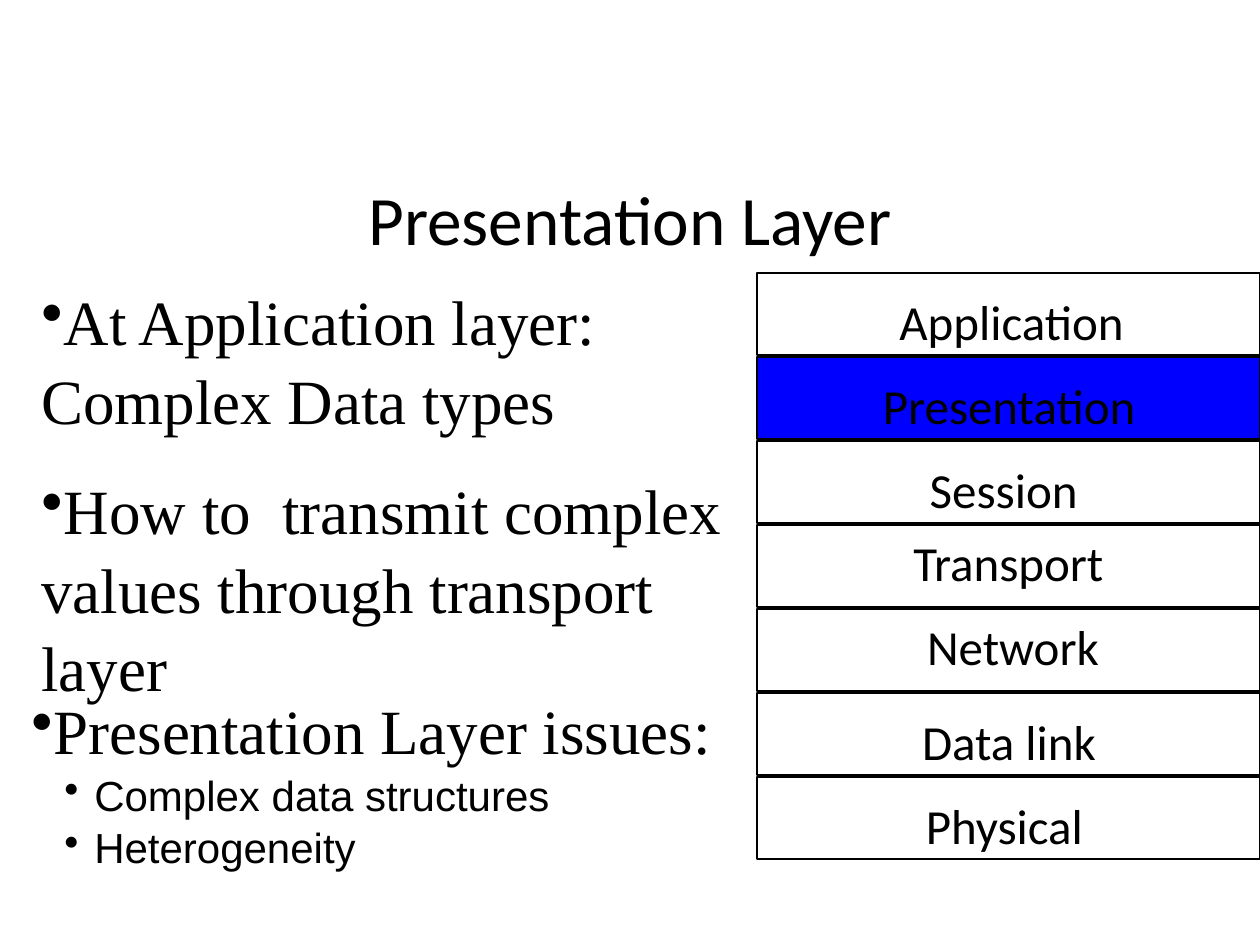
from pptx import Presentation
from pptx import util as u
from pptx.dml.color import RGBColor
from pptx.enum import shapes, text
from pptx.oxml.xmlchemy import OxmlElement

BLACK = RGBColor(0, 0, 0)
BLUE = RGBColor(0, 0, 255)
Pt = u.Pt


def add_run(p, content, size, font, color=BLACK):
    r = p.add_run()
    r.text = content
    r.font.size = Pt(size)
    r.font.name = font
    r.font.color.rgb = color
    return r


def set_bullet(p, margin=0, indent=0):
    pPr = p._p.get_or_add_pPr()
    pPr.set("marL", str(Pt(margin)))
    pPr.set("indent", str(Pt(indent)))
    bu = OxmlElement("a:buChar")
    bu.set("char", "•")
    pPr.append(bu)


class Deck:
    heading_font = "Calibri"
    body_font = "Times New Roman"
    detail_font = "Arial"

    def __init__(self):
        self.prs = Presentation()
        self.prs.slide_width = Pt(720)
        self.prs.slide_height = Pt(540)
        self.s = self.prs.slides.add_slide(self.prs.slide_layouts[5])

    def title(self, content, x, y, w, h):
        sp = self.s.shapes.title
        sp.left, sp.top, sp.width, sp.height = map(Pt, (x, y, w, h))
        tf = sp.text_frame
        tf.vertical_anchor = text.MSO_ANCHOR.MIDDLE
        p = tf.paragraphs[0]
        p.alignment = text.PP_ALIGN.CENTER
        add_run(p, content, 39.6, self.heading_font)

    def box(self, x, y, w, h, fill=None):
        sp = self.s.shapes.add_shape(shapes.MSO_SHAPE.RECTANGLE, *map(Pt, (x, y, w, h)))
        sp.shadow.inherit = False
        if fill is None:
            sp.fill.background()
        else:
            sp.fill.solid()
            sp.fill.fore_color.rgb = fill
        sp.line.color.rgb = BLACK
        sp.line.width = Pt(1)

    def text_frame(self, x, y, w, h, wrap):
        tf = self.s.shapes.add_textbox(*map(Pt, (x, y, w, h))).text_frame
        tf.word_wrap = wrap
        tf.auto_size = text.MSO_AUTO_SIZE.SHAPE_TO_FIT_TEXT
        return tf

    def label(self, content, x, y, w, h):
        tf = self.text_frame(x, y, w, h, False)
        add_run(tf.paragraphs[0], content, 28, self.heading_font)

    def bullets(self, heading, x, y, w, h, details=()):
        tf = self.text_frame(x, y, w, h, True)
        p = tf.paragraphs[0]
        p.line_spacing = 1.04
        set_bullet(p)
        add_run(p, heading, 36, self.body_font)
        for detail in details:
            p = tf.add_paragraph()
            p.level = 1
            p.line_spacing = 1.04
            set_bullet(p, 36, -17)
            add_run(p, detail, 24, self.detail_font)


def main():
    deck = Deck()
    deck.title("Presentation Layer", 36, 102, 648, 45.4)

    layers = [
        ("Application", 506.9, 144, 6.6),
        ("Presentation", 497.5, 160.6, 6.6),
        ("Session", 524.2, 100, 6.6),
        ("Transport", 514.8, 123.8, 0.6),
        ("Network", 522.7, 113.8, 0.6),
        ("Data link", 519.8, 113.8, 6.6),
        ("Physical", 522, 105.1, 6.6),
    ]
    top, pitch = 156.2, 48
    for i, (name, x, w, drop) in enumerate(layers):
        y = top + i * pitch
        deck.box(432.7, y, 287.3, 46.8, BLUE if name == "Presentation" else None)
        deck.label(name, x, y + drop, w, 41)

    deck.bullets("At Application layer: Complex Data types", 16.6, 156.2, 415.4, 93.6)
    deck.bullets("How to  transmit complex values through transport layer",
                 16.6, 264.2, 415.4, 138.2)
    deck.bullets("Presentation Layer issues:", 10.8, 390.2, 415.4, 108,
                 ["Complex data structures", "Heterogeneity"])

    deck.prs.save("out.pptx")


if __name__ == "__main__":
    main()
